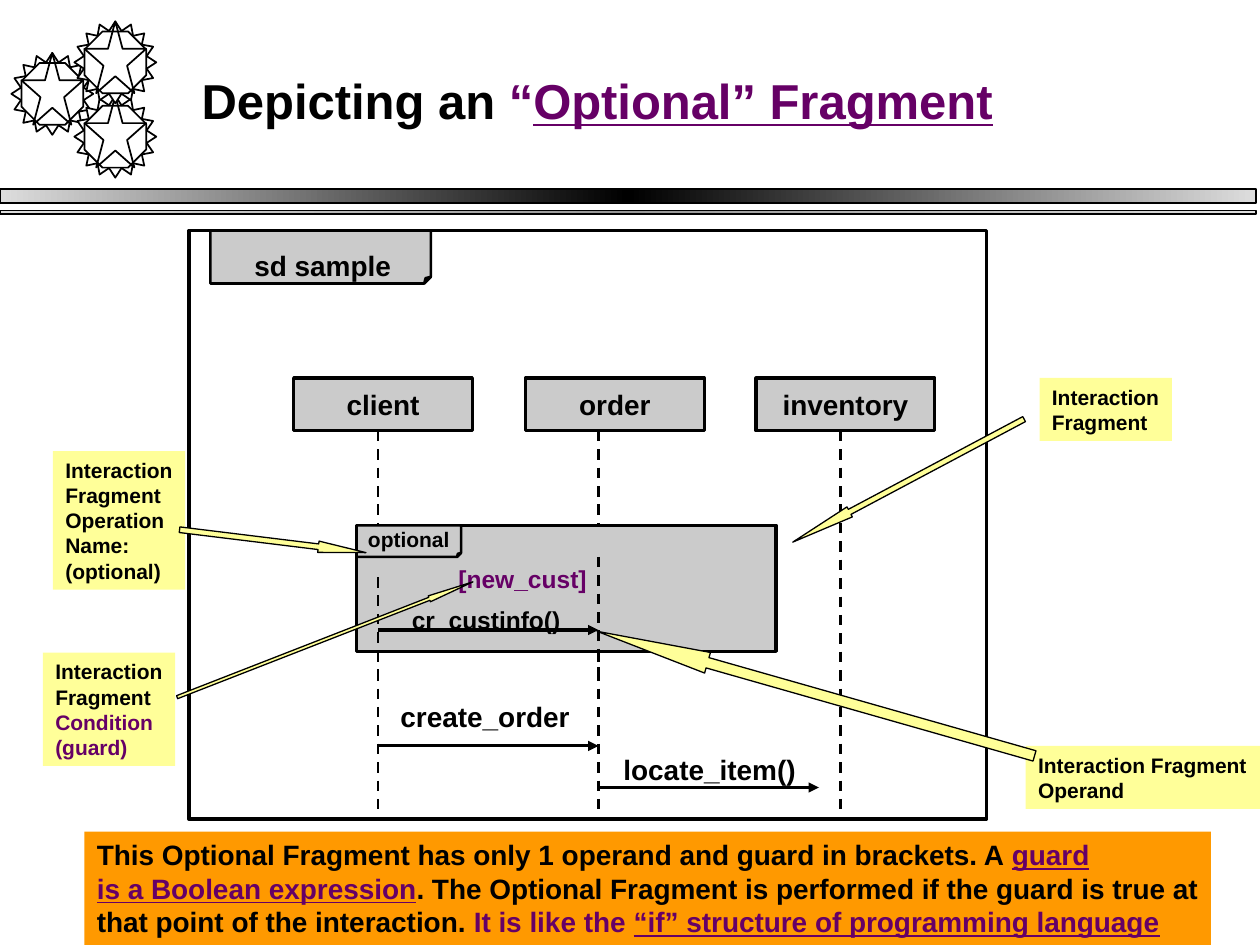
"""Build the slide that explains the optional fragment of a sequence diagram."""
from typing import NamedTuple

from lxml import etree
from pptx import Presentation
from pptx.dml.color import RGBColor
from pptx.enum.dml import MSO_LINE
from pptx.enum.shapes import MSO_CONNECTOR, MSO_SHAPE
from pptx.enum.text import MSO_ANCHOR, MSO_AUTO_SIZE, PP_ALIGN
from pptx.oxml import parse_xml
from pptx.oxml.ns import nsdecls, qn
from pptx.util import Inches, Pt

RECTANGLE, FOLDED, POINTER = MSO_SHAPE.RECTANGLE, MSO_SHAPE.FOLDED_CORNER, MSO_SHAPE.LEFT_ARROW
GEAR, STAR, OCTAGON = MSO_SHAPE.STAR_16_POINT, MSO_SHAPE.STAR_5_POINT, MSO_SHAPE.OCTAGON
STRAIGHT, DASH, FIXED = MSO_CONNECTOR.STRAIGHT, MSO_LINE.DASH, MSO_AUTO_SIZE.NONE
TOP, MIDDLE = MSO_ANCHOR.TOP, MSO_ANCHOR.MIDDLE
LEFT, CENTER = PP_ALIGN.LEFT, PP_ALIGN.CENTER
FONT = "Arial"
BLACK, WHITE, GRAY = "000000", "FFFFFF", "CBCBCB"
PURPLE, YELLOW, ORANGE = "660066", "FFFF99", "FF9900"


class Span(NamedTuple):
    text: str
    colour: str = BLACK
    underline: bool = False


class Box(NamedTuple):
    left: float
    top: float
    width: float
    height: float


class Callout(NamedTuple):
    box: Box
    spans: list
    pointer: Box
    rotation: float
    head: float


class Message(NamedTuple):
    start: float
    end: float
    y: float
    name: str
    label: Box
    size: int


BARS = [(1.5, 0.11, BLACK), (1.67, 0.03, "969696")]
GEARS = [(0.415, 0.745), (0.915, 1.085), (0.915, 0.495)]
TITLE = [Span("Depicting an "), Span("“", PURPLE), Span("Optional” Fragment", PURPLE, True)]
PARTICIPANTS = [("client", 2.33, 3), ("order", 4.17, 4.75), ("inventory", 6, 6.67)]
MESSAGES = [
    Message(3, 4.75, 5.92, "create_order", Box(3.08, 5.5, 1.74, 0.37), 16),
    Message(4.75, 6.5, 6.25, "locate_item()", Box(4.85, 5.92, 1.56, 0.37), 16),
]
GUARDED = Message(3, 4.75, 5, "cr_custinfo()", Box(3.17, 4.75, 1.5, 0.34), 14)
OPENING = [Span("Interaction"), Span("Fragment")]
CALLOUTS = [
    Callout(Box(8.25, 3, 1.05, 0.5), OPENING, Box(6.17, 3.77, 2.08, 0.09), 332, 5.68),
    Callout(Box(0.42, 3.58, 1.05, 1.1),
            OPENING + [Span("Operation"), Span("Name:"), Span("(optional)")],
            Box(1.42, 4.25, 1.49, 0.09), 187, 4.22),
    Callout(Box(8.14, 5.92, 1.86, 0.5), [Span("Interaction Fragment"), Span("Operand")],
            Box(4.67, 5.42, 3.61, 0.17), 15.9, 5.36),
    Callout(Box(0.34, 5.18, 1.05, 0.9),
            OPENING + [Span("Condition", PURPLE), Span("(guard)", PURPLE)],
            Box(1.32, 5.05, 2.52, 0.05), 158.7, 7.43),
]
SUMMARY = [
    [Span("This Optional Fragment has only 1 operand and guard in brackets. A "),
     Span("guard", PURPLE, True)],
    [Span("is a Boolean expression", PURPLE, True),
     Span(". The Optional Fragment is performed if the guard is true at")],
    [Span("that point of the interaction. "), Span("It is like the ", PURPLE),
     Span("“if” structure of programming language", PURPLE, True)],
]


def colour(value: str) -> RGBColor:
    """Turn a hex string into a colour."""
    return RGBColor.from_string(value)


def add_box(page, kind, box: Box, fill="", line_width: float = 0):
    """Add a flat preset shape; no fill or no line when not given."""
    shape = page.shapes.add_shape(kind, *map(Inches, box))
    shape.shadow.inherit = False
    if fill:
        shape.fill.solid()
        shape.fill.fore_color.rgb = colour(fill)
    else:
        shape.fill.background()
    if line_width:
        shape.line.color.rgb = colour(BLACK)
        shape.line.width = Pt(line_width)
    else:
        shape.line.fill.background()
    return shape


def add_tab(page, box: Box):
    """Add a gray name tab with a small folded corner."""
    tab = add_box(page, FOLDED, box, GRAY, 1.5)
    values = tab.element.spPr.find(qn("a:prstGeom")).find(qn("a:avLst"))
    etree.SubElement(values, qn("a:gd"), name="adj", fmla="val 12500")
    return tab


def write(shape, lines: list, size: int, align=LEFT, anchor=TOP, wrap=False) -> None:
    """Write lines of spans into a shape in bold type."""
    frame = shape.text_frame
    frame.auto_size, frame.word_wrap, frame.vertical_anchor = FIXED, wrap, anchor
    for index, spans in enumerate(lines):
        para = frame.add_paragraph() if index else frame.paragraphs[0]
        para.alignment = align
        para.font.name, para.font.size, para.font.bold = FONT, Pt(size), True
        for span in spans:
            run = para.add_run()
            run.text = span.text
            run.font.color.rgb = colour(span.colour)
            run.font.underline = span.underline or None


def add_label(page, box: Box, span: Span, size: int) -> None:
    """Add a one-line text box."""
    write(page.shapes.add_textbox(*map(Inches, box)), [[span]], size)


def add_line(page, start: tuple, end: tuple, width: float, arrow: bool) -> None:
    """Add a straight line with an arrowhead, or else dashed."""
    line = page.shapes.add_connector(STRAIGHT, *map(Inches, start + end))
    line.line.color.rgb = colour(BLACK)
    line.line.width = Pt(width)
    properties = line.element.spPr
    if arrow:
        etree.SubElement(properties.find(qn("a:ln")), qn("a:tailEnd"), type="triangle")
    else:
        line.line.dash_style = DASH
    etree.SubElement(properties, qn("a:effectLst"))


def add_lifeline(page, x: float, top: float, bottom: float) -> None:
    """Add a dashed vertical lifeline."""
    add_line(page, (x, top), (x, bottom), 1.5, False)


def add_message(page, message: Message) -> None:
    """Add a message arrow with its name."""
    add_line(page, (message.start, message.y), (message.end, message.y), 1.75, True)
    add_label(page, message.label, Span(message.name), message.size)


def add_bar(page, top: float, height: float, middle: str) -> None:
    """Add a header bar shaded from both ends to the middle."""
    shape = add_box(page, RECTANGLE, Box(0, top, 9.97, height), WHITE, 1)
    shape.fill.gradient()
    shape.fill.gradient_angle = 0
    items = "".join(f'<a:gs pos="{place}"><a:srgbClr val="{value}"/></a:gs>' for place, value
                    in ((0, "DDDDDD"), (50000, middle), (100000, "DDDDDD")))
    stops = shape.element.spPr.find(qn("a:gradFill")).find(qn("a:gsLst"))
    stops.getparent().replace(stops, parse_xml(f'<a:gsLst {nsdecls("a")}>{items}</a:gsLst>'))


def add_gear(page, x: float, y: float) -> None:
    """Add a toothed wheel with a star and an octagon around a centre."""
    wheel = add_box(page, GEAR, Box(x - 0.325, y - 0.325, 0.65, 0.65), WHITE, 1)
    wheel.adjustments[0] = 0.39
    add_box(page, STAR, Box(x - 0.245, y - 0.325, 0.49, 0.57), WHITE, 1)
    add_box(page, OCTAGON, Box(x - 0.245, y - 0.245, 0.49, 0.49), line_width=1)


def add_callout(page, callout: Callout) -> None:
    """Add a yellow note and the pointer that leaves it."""
    note = add_box(page, RECTANGLE, callout.box, YELLOW)
    write(note, [[span] for span in callout.spans], 12)
    pointer = add_box(page, POINTER, callout.pointer, YELLOW, 0.75)
    pointer.adjustments[1] = callout.head
    pointer.rotation = callout.rotation


deck = Presentation()
deck.slide_width, deck.slide_height = Inches(10), Inches(7.5)
page = deck.slides.add_slide(deck.slide_layouts[5])
title = page.shapes.title
title.left, title.top, title.width, title.height = map(Inches, (1.5, 0.17, 8.5, 1.25))
write(title, [TITLE], 28, anchor=MIDDLE, wrap=True)
for bar in BARS:
    add_bar(page, *bar)
for center in GEARS:
    add_gear(page, *center)
add_box(page, RECTANGLE, Box(1.5, 1.83, 6.33, 4.67), WHITE, 2)
add_tab(page, Box(1.67, 1.83, 1.75, 0.42))
add_label(page, Box(1.92, 1.92, 1.28, 0.37), Span("sd sample"), 16)
for name, left, x in PARTICIPANTS:
    participant = add_box(page, RECTANGLE, Box(left, 3, 1.42, 0.42), GRAY, 1.75)
    write(participant, [[Span(name)]], 16, CENTER, MIDDLE)
    add_lifeline(page, x, 3.42, 6.5)
for message in MESSAGES:
    add_message(page, message)
add_box(page, RECTANGLE, Box(2.83, 4.17, 3.33, 1), GRAY, 2)
write(add_tab(page, Box(2.83, 4.17, 0.83, 0.25)), [[Span("optional")]], 12, CENTER, MIDDLE)
add_message(page, GUARDED)
add_lifeline(page, 3, 4.58, 5.33)
add_lifeline(page, 4.75, 4.42, 5.42)
add_label(page, Box(3.54, 4.43, 1.25, 0.34), Span("[new_cust]", PURPLE), 14)
for callout in CALLOUTS:
    add_callout(page, callout)
write(add_box(page, RECTANGLE, Box(0.67, 6.6, 8.94, 0.9), ORANGE), SUMMARY, 16)
deck.save("out.pptx")
